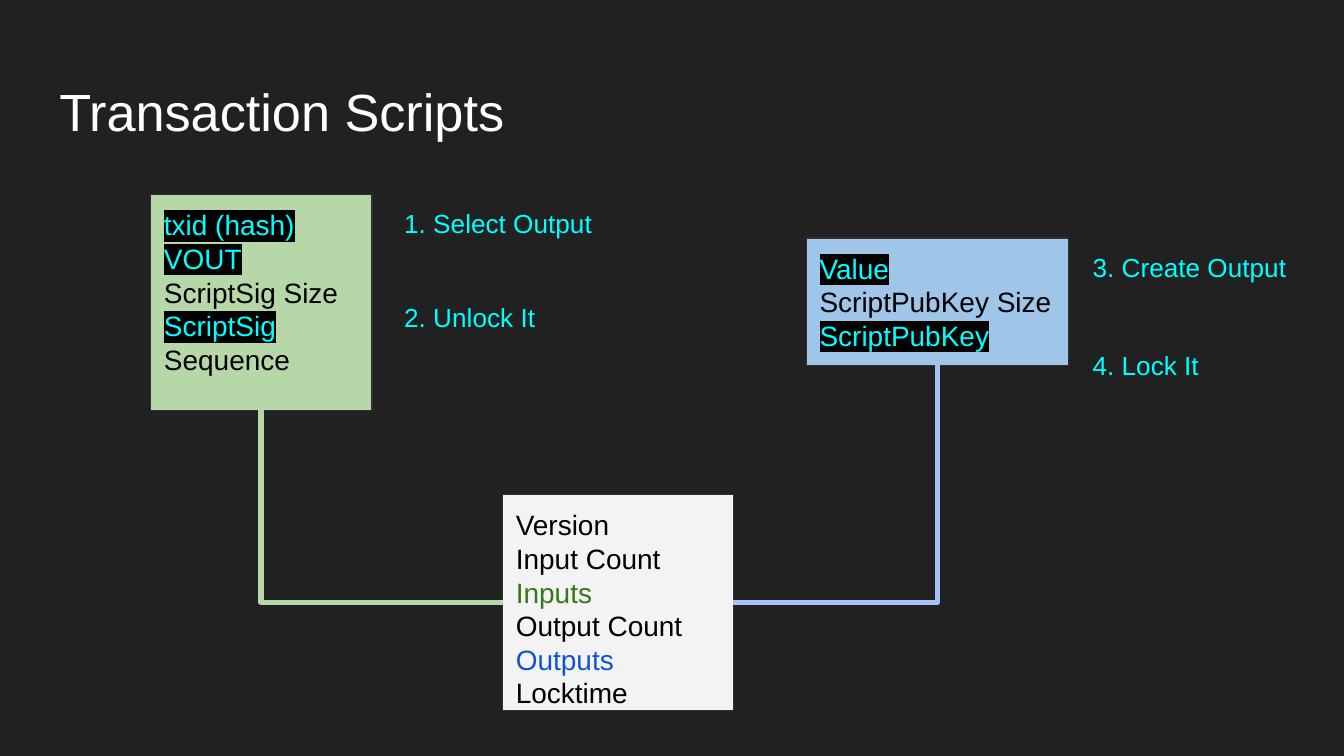
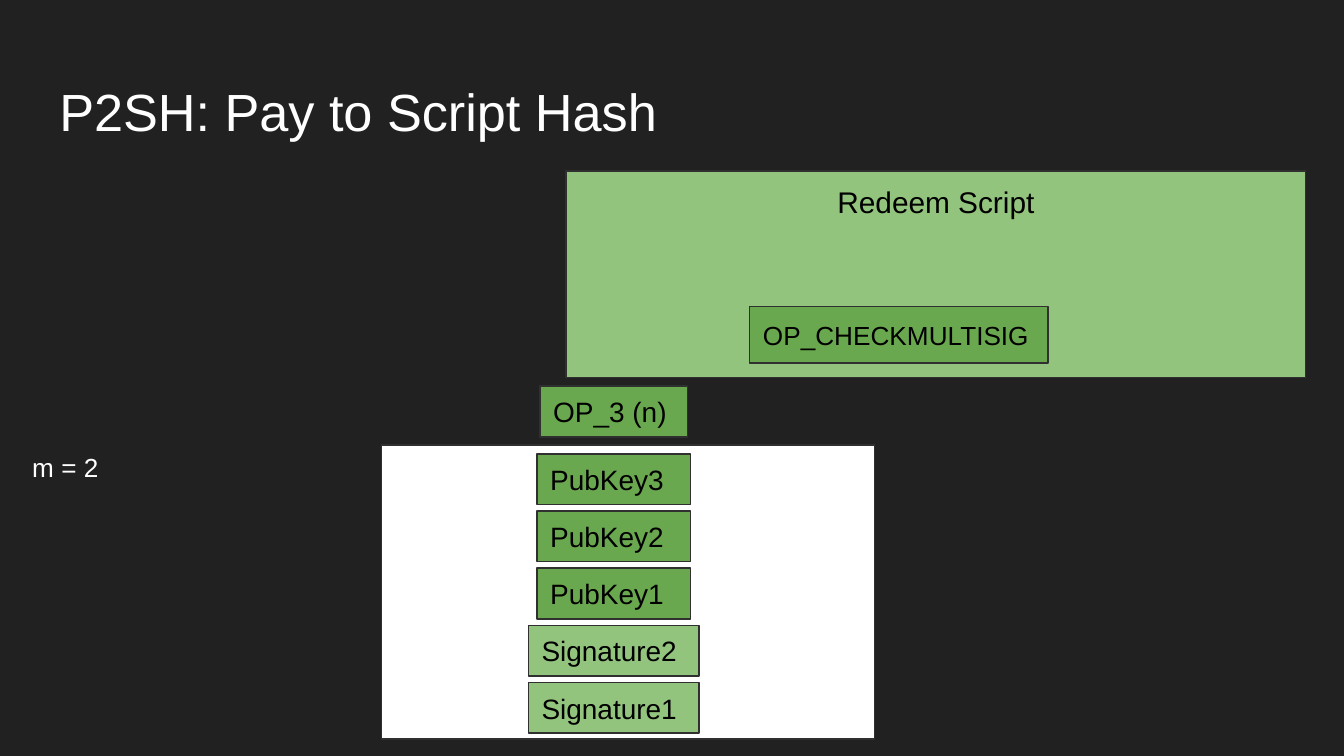
from dataclasses import dataclass

from lxml import etree
from pptx import Presentation
from pptx.dml.color import RGBColor
from pptx.enum.shapes import MSO_CONNECTOR, MSO_SHAPE
from pptx.enum.text import MSO_ANCHOR, PP_ALIGN
from pptx.oxml.ns import qn
from pptx.util import Cm, Pt

RECTANGLE = MSO_SHAPE.RECTANGLE
ELBOW = MSO_CONNECTOR.ELBOW
TOP, MIDDLE = MSO_ANCHOR.TOP, MSO_ANCHOR.MIDDLE
LEFT, CENTER = PP_ALIGN.LEFT, PP_ALIGN.CENTER
LEFT_SITE, BOTTOM_SITE, RIGHT_SITE = 1, 2, 3
TITLE_ONLY = 5


@dataclass(frozen=True)
class Theme:
    font: str = "Arial"
    background: str = "212121"
    outline: str = "303030"
    white: str = "FFFFFF"
    black: str = "000000"
    cyan: str = "00FFFF"
    input_green: str = "B6D7A8"
    output_blue: str = "9FC5E8"
    output_link: str = "A4C2F4"
    paper: str = "F3F3F3"
    inputs_text: str = "38761D"
    outputs_text: str = "1155CC"
    light_green: str = "93C47D"
    green: str = "6AA84F"
    title_size: int = 28
    heading_size: int = 16
    item_size: int = 15
    label_size: int = 14


THEME = Theme()

# All boxes are (left, top, width, height) in centimetres.
SLIDE_SIZE = (25.4, 14.29)
TITLE_BOX = (0.87, 1.25, 23.67, 1.6)
INSET = 0.25

TRANSACTION_TITLE = "Transaction Scripts"
# name: (box, fill, lines); a line is (text, colour, highlight)
PLAIN, MARKED = (THEME.black, None), (THEME.cyan, THEME.black)
CARDS = {
    "transaction": ((9.5, 9.35, 4.36, 4.08), THEME.paper, [
        ("Version", *PLAIN),
        ("Input Count", *PLAIN),
        ("Inputs", THEME.inputs_text, None),
        ("Output Count", *PLAIN),
        ("Outputs", THEME.outputs_text, None),
        ("Locktime", *PLAIN),
    ]),
    "input": ((2.85, 3.68, 4.18, 4.08), THEME.input_green, [
        ("txid (hash)", *MARKED),
        ("VOUT", *MARKED),
        ("ScriptSig Size", *PLAIN),
        ("ScriptSig", *MARKED),
        ("Sequence", *PLAIN),
    ]),
    "output": ((15.24, 4.5, 4.95, 2.41), THEME.output_blue, [
        ("Value", *MARKED),
        ("ScriptPubKey Size", *PLAIN),
        ("ScriptPubKey", *MARKED),
    ]),
}
# (side of the transaction card, card whose bottom is reached, colour)
LINKS = [
    (LEFT_SITE, "input", THEME.input_green),
    (RIGHT_SITE, "output", THEME.output_link),
]
STEPS = [
    ("1. Select Output", (7.39, 3.68, 4.37, 1.27)),
    ("2. Unlock It", (7.39, 5.44, 4.37, 1.27)),
    ("3. Create Output", (20.4, 4.5, 4.37, 1.6)),
    ("4. Lock It", (20.4, 6.35, 4.37, 1.6)),
]

P2SH_TITLE = "P2SH: Pay to Script Hash"
STACK_BOX = (7.21, 8.41, 9.32, 5.56)
REDEEM = ("Redeem Script", (10.7, 3.23, 13.98, 3.91))
CHECK = ("OP_CHECKMULTISIG", (14.17, 5.79, 5.64, 1.07))
THRESHOLD = ("m = 2", (0.36, 8.28, 5.03, 2.9))
NEXT_ITEM = ("OP_3 (n)", 2.79, THEME.green)
STACK = [
    ("PubKey3", 2.9, THEME.green),
    ("PubKey2", 2.9, THEME.green),
    ("PubKey1", 2.9, THEME.green),
    ("Signature2", 3.23, THEME.light_green),
    ("Signature1", 3.23, THEME.light_green),
]
ITEM_CENTER, ITEM_HEIGHT = 11.6, 0.96
NEXT_TOP, STACK_TOP, STACK_STEP = 7.3, 8.58, 1.08


def rgb(value):
    return RGBColor.from_string(value)


def highlight(run, color):
    mark = etree.Element(qn("a:highlight"))
    etree.SubElement(mark, qn("a:srgbClr")).set("val", color)
    run.font._element.find(qn("a:solidFill")).addnext(mark)


def write(shape, lines, size, anchor=TOP, align=LEFT):
    """Fill a shape with one paragraph for each (text, colour, highlight)."""
    frame = shape.text_frame
    frame.word_wrap = True
    frame.vertical_anchor = anchor
    frame.margin_left = frame.margin_right = Cm(INSET)
    frame.margin_top = frame.margin_bottom = Cm(INSET)
    for index, (text, color, mark) in enumerate(lines):
        paragraph = frame.add_paragraph() if index else frame.paragraphs[0]
        paragraph.alignment = align
        run = paragraph.add_run()
        run.text = text
        run.font.name = THEME.font
        run.font.size = Pt(size)
        run.font.color.rgb = rgb(color)
        if mark:
            highlight(run, mark)


def add_box(slide, box, fill):
    shape = slide.shapes.add_shape(RECTANGLE, *map(Cm, box))
    shape.shadow.inherit = False
    shape.fill.solid()
    shape.fill.fore_color.rgb = rgb(fill)
    shape.line.color.rgb = rgb(THEME.outline)
    shape.line.width = Pt(0.75)
    return shape


def add_label(slide, text, box, color):
    label = slide.shapes.add_textbox(*map(Cm, box))
    write(label, [(text, color, None)], THEME.label_size)


def add_item(slide, text, box, fill, size=THEME.item_size):
    write(add_box(slide, box, fill), [(text, *PLAIN)], size, anchor=MIDDLE)


def add_stack_item(slide, item, top):
    text, width, fill = item
    box = (ITEM_CENTER - width / 2, top, width, ITEM_HEIGHT)
    add_item(slide, text, box, fill)


def add_link(slide, start, start_site, end, color):
    """Join the side of one shape to the bottom of another with one bend."""
    link = slide.shapes.add_connector(ELBOW, 0, 0, 0, 0)
    link.begin_connect(start, start_site)
    link.end_connect(end, BOTTOM_SITE)
    link.line.color.rgb = rgb(color)
    link.line.width = Pt(3)
    properties = link._element.spPr
    properties.find(qn("a:prstGeom")).set("prst", "bentConnector2")
    etree.SubElement(properties, qn("a:effectLst"))


def add_slide(presentation, title):
    slide = presentation.slides.add_slide(presentation.slide_layouts[TITLE_ONLY])
    shape = slide.shapes.title
    shape.left, shape.top, shape.width, shape.height = map(Cm, TITLE_BOX)
    write(shape, [(title, THEME.white, None)], THEME.title_size)
    return slide


def build_transaction_slide(presentation):
    slide = add_slide(presentation, TRANSACTION_TITLE)
    cards = {}
    for name, (box, fill, lines) in CARDS.items():
        cards[name] = add_box(slide, box, fill)
        write(cards[name], lines, THEME.item_size)
    for site, target, color in LINKS:
        add_link(slide, cards["transaction"], site, cards[target], color)
    for text, box in STEPS:
        add_label(slide, text, box, THEME.cyan)


def build_p2sh_slide(presentation):
    slide = add_slide(presentation, P2SH_TITLE)
    add_box(slide, STACK_BOX, THEME.white)
    text, box = REDEEM
    redeem = add_box(slide, box, THEME.light_green)
    write(redeem, [(text, *PLAIN)], THEME.heading_size, align=CENTER)
    add_item(slide, *CHECK, THEME.green, THEME.label_size)
    add_stack_item(slide, NEXT_ITEM, NEXT_TOP)
    for row, item in enumerate(STACK):
        add_stack_item(slide, item, STACK_TOP + row * STACK_STEP)
    add_label(slide, *THRESHOLD, THEME.white)


def main():
    presentation = Presentation()
    presentation.slide_width, presentation.slide_height = map(Cm, SLIDE_SIZE)
    background = presentation.slide_master.background.fill
    background.solid()
    background.fore_color.rgb = rgb(THEME.background)
    build_transaction_slide(presentation)
    build_p2sh_slide(presentation)
    presentation.save("out.pptx")


if __name__ == "__main__":
    main()
